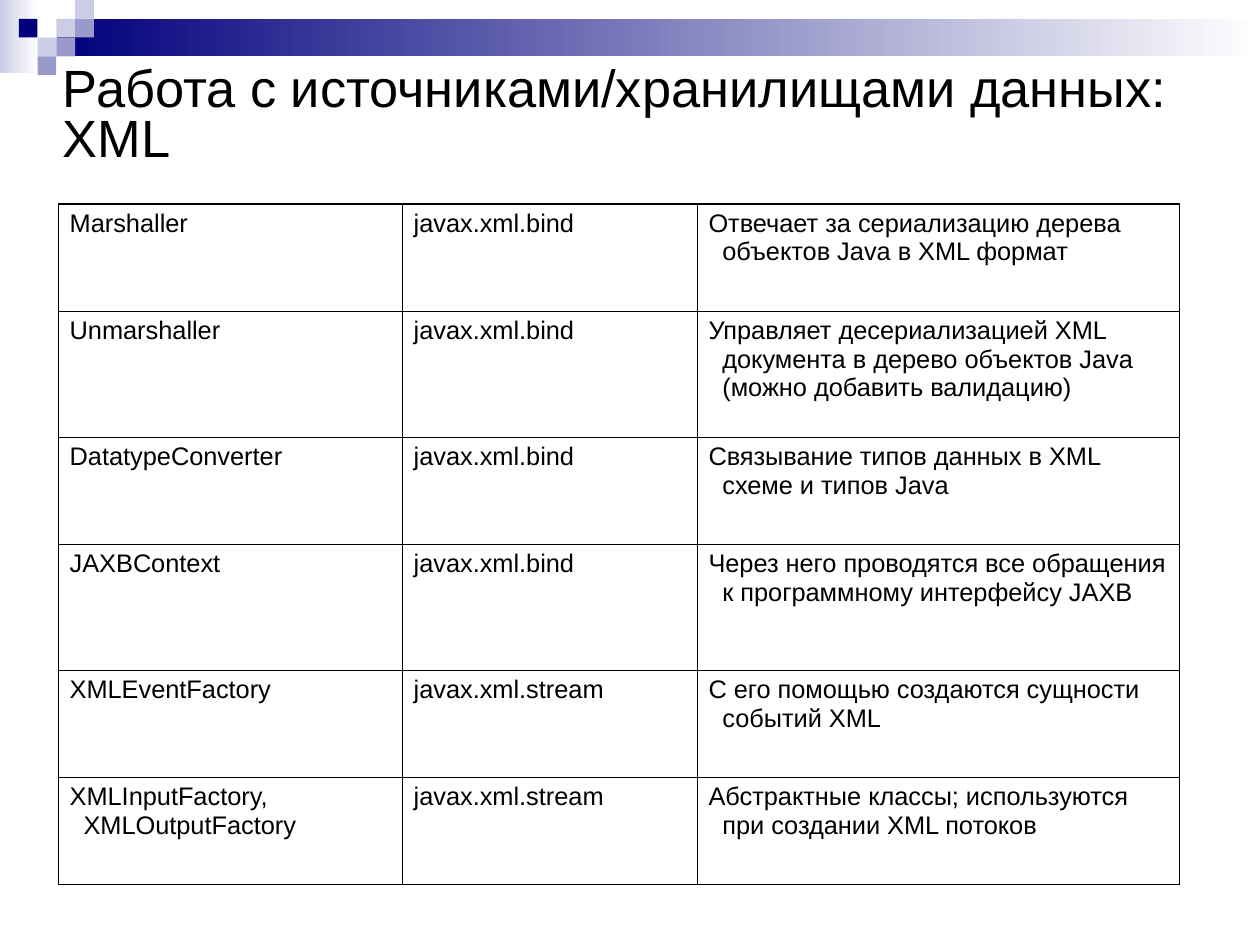
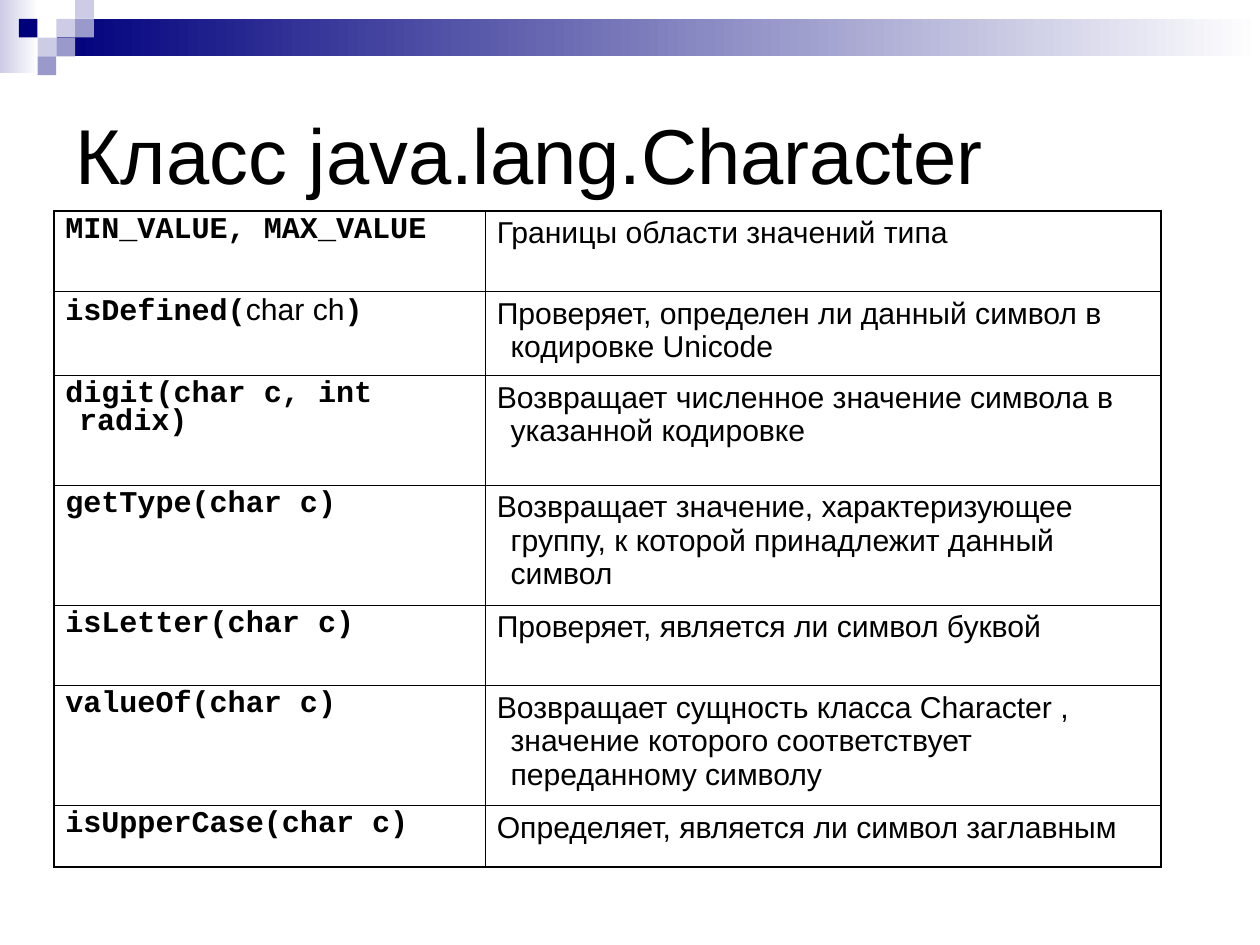
from lxml.etree import SubElement
from pptx import Presentation
from pptx.dml.color import RGBColor
from pptx.enum.shapes import MSO_SHAPE as Shape
from pptx.enum.text import MSO_ANCHOR as Anchor
from pptx.oxml.ns import qn
from pptx.util import Cm, Pt

BLACK = RGBColor(0x00, 0x00, 0x00)
WHITE = RGBColor(0xFF, 0xFF, 0xFF)
NAVY = RGBColor(0x00, 0x00, 0x7D)
LILAC = RGBColor(0x99, 0x99, 0xCC)
PALE = RGBColor(0xCC, 0xCC, 0xE6)

SANS = "Arial"
MONO = "Courier New"
COLUMNS = 200
ROWS = 150
TILE = 2.98
TILES = [
    (3, 1, PALE), (4, 0, PALE), (4, 1, LILAC), (2, 2, PALE),
    (1, 1, NAVY), (3, 2, LILAC), (2, 3, LILAC),
]
OUTER = Pt(1.08)
INNER = Pt(0.45)


def write(frame, text, size, font=SANS, spacing=1.0, hang=0):
    spans = [(text, font)] if isinstance(text, str) else text
    para = frame.paragraphs[0]
    para.line_spacing = spacing
    if hang:
        properties = para._p.get_or_add_pPr()
        properties.set("marL", str(hang))
        properties.set("indent", str(-hang))
    for words, face in spans:
        span = para.add_run()
        span.text = words
        span.font.name = face
        span.font.size = Pt(size)
        span.font.bold = face == MONO
        span.font.color.rgb = BLACK


class Slides:
    def __init__(self):
        self.deck = Presentation()
        self.deck.slide_width = Cm(28)
        self.deck.slide_height = Cm(21)
        self.page = None

    def across(self, columns):
        return round(self.deck.slide_width * columns / COLUMNS)

    def down(self, rows):
        return round(self.deck.slide_height * rows / ROWS)

    def area(self, left, top, width, height):
        return self.across(left), self.down(top), self.across(width), self.down(height)

    def add_page(self):
        self.page = self.deck.slides.add_slide(self.deck.slide_layouts[6])
        self.block(0, 0, 6.1, 11.6, PALE, fade=True)
        self.block(9, TILE, COLUMNS - 9, 2 * TILE, NAVY, fade=True)
        for column, row, color in TILES:
            self.block(column * TILE, row * TILE, TILE, TILE, color)

    def block(self, left, top, width, height, color, fade=False):
        box = self.page.shapes.add_shape(
            Shape.RECTANGLE, *self.area(left, top, width, height))
        box.shadow.inherit = False
        box.line.fill.background()
        if fade:
            box.fill.gradient()
            box.fill.gradient_angle = 0
            for stop, shade in zip(box.fill.gradient_stops, (color, WHITE)):
                stop.color.rgb = shade
        else:
            box.fill.solid()
            box.fill.fore_color.rgb = color

    def title(self, text, top, height, size, spacing, inset=0):
        box = self.page.shapes.add_textbox(*self.area(10, top, 180, height))
        frame = box.text_frame
        frame.word_wrap = True
        frame.vertical_anchor = Anchor.MIDDLE
        frame.margin_left = frame.margin_right = self.across(2 * inset)
        frame.margin_top = frame.margin_bottom = self.down(inset)
        write(frame, text, size, spacing=spacing)

    def table(self, left, top, widths, heights, records, size, first=None):
        table = self.page.shapes.add_table(
            len(heights), len(widths),
            *self.area(left, top, sum(widths), sum(heights))).table
        table.first_row = table.horz_banding = False
        for column, width in zip(table.columns, widths):
            column.width = self.across(width)
        for row, height in zip(table.rows, heights):
            row.height = self.down(height)
        last_row, last_column = len(heights) - 1, len(widths) - 1
        for r, record in enumerate(records):
            for c, text in enumerate(record):
                cell = table.cell(r, c)
                edges = {"L": c == 0, "R": c == last_column,
                         "T": r == 0, "B": r == last_row}
                self.border(cell, edges)
                cell.fill.background()
                style = first if first and c == 0 else {}
                write(cell.text_frame, text, size, hang=self.across(2.2), **style)

    def border(self, cell, edges):
        properties = cell._tc.get_or_add_tcPr()
        for side, outside in edges.items():
            line = SubElement(properties, qn("a:ln" + side),
                              w=str(OUTER if outside else INNER))
            fill = SubElement(line, qn("a:solidFill"))
            SubElement(fill, qn("a:srgbClr"), val=str(BLACK))


XML_CLASSES = [
    ("Marshaller", "javax.xml.bind",
     "Отвечает за сериализацию дерева объектов Java в XML формат"),
    ("Unmarshaller", "javax.xml.bind",
     "Управляет десериализацией XML документа в дерево объектов Java "
     "(можно добавить валидацию)"),
    ("DatatypeConverter", "javax.xml.bind",
     "Связывание типов данных в XML схеме и типов Java"),
    ("JAXBContext", "javax.xml.bind",
     "Через него проводятся все обращения к программному интерфейсу JAXB"),
    ("XMLEventFactory", "javax.xml.stream",
     "С его помощью создаются сущности событий XML"),
    ("XMLInputFactory, XMLOutputFactory", "javax.xml.stream",
     "Абстрактные классы; используются при создании XML потоков"),
]

CHARACTER_MEMBERS = [
    ("MIN_VALUE, MAX_VALUE", "Границы области значений типа"),
    ([("isDefined(", MONO), ("char ch", SANS), (")", MONO)],
     "Проверяет, определен ли данный символ в кодировке Unicode"),
    ("digit(char c, int radix)",
     "Возвращает численное значение символа в указанной кодировке"),
    ("getType(char c)",
     "Возвращает значение, характеризующее группу, к которой принадлежит "
     "данный символ"),
    ("isLetter(char c)", "Проверяет, является ли символ буквой"),
    ("valueOf(char c)",
     "Возвращает сущность класса Character , значение которого соответствует "
     "переданному символу"),
    ("isUpperCase(char c)", "Определяет, является ли символ заглавным"),
]


def main():
    slides = Slides()

    slides.add_page()
    slides.title("Работа с источниками/хранилищами данных: XML",
                 top=3.6, height=30, size=33, spacing=0.8)
    slides.table(9.25, 32.4, (54.6, 46.8, 76.6), (17, 20, 17, 20, 17, 17),
                 XML_CLASSES, size=16)

    slides.add_page()
    slides.title("Класс java.lang.Character",
                 top=17.4, height=15.2, size=49, spacing=0.95, inset=1)
    slides.table(8.55, 33.5, (68.5, 107.2), (12.75, 13.3, 17.4, 19, 12.75, 19, 9.8),
                 CHARACTER_MEMBERS, size=19, first={"font": MONO, "spacing": 0.8})

    slides.deck.save("out.pptx")


if __name__ == "__main__":
    main()
